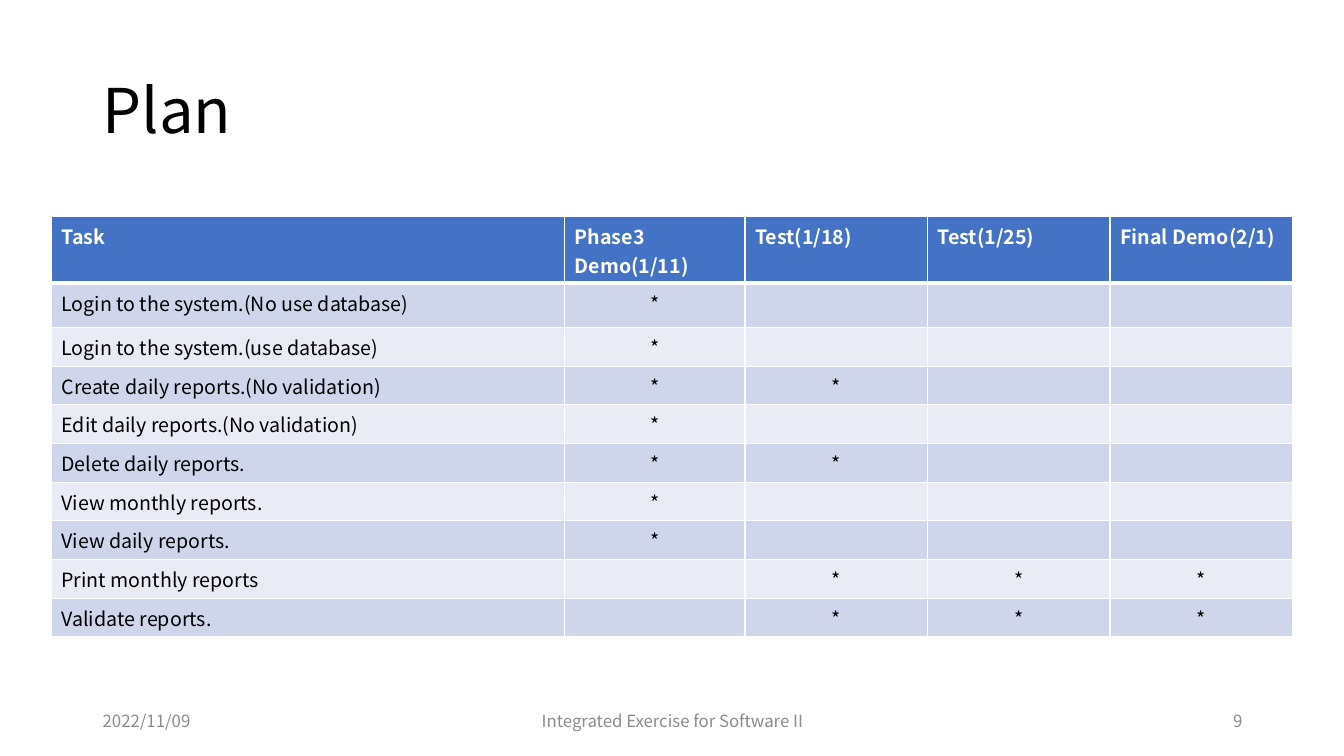
from lxml.etree import SubElement
from pptx import Presentation
from pptx.dml.color import RGBColor as RGB
from pptx.enum.text import MSO_ANCHOR as Anchor, PP_ALIGN as Align
from pptx.oxml.ns import qn
from pptx.util import Inches, Pt

FONT = "Noto Sans CJK JP"
COLORS = {"ink": "000000", "paper": "FFFFFF", "muted": "8C8C8C",
          "head": "4472C4", "odd": "CFD5EA", "even": "E9EBF5"}
HEADS = ["Task", "Phase3 Demo(1/11)", "Test(1/18)", "Test(1/25)", "Final Demo(2/1)"]
TASKS = [
    ("Login to the system.(No use database)", [1]),
    ("Login to the system.(use database)", [1]),
    ("Create daily reports.(No validation)", [1, 2]),
    ("Edit daily reports.(No validation)", [1]),
    ("Delete daily reports.", [1, 2]),
    ("View monthly reports.", [1]),
    ("View daily reports.", [1]),
    ("Print monthly reports", [2, 3, 4]),
    ("Validate reports.", [2, 3, 4]),
]
WIDTHS = [5.09, 1.79, 1.81, 1.81, 1.81]
TOPS = [0.66, 0.44]
REST = 3.07 / (len(TASKS) - 1)
HEIGHTS = TOPS + [REST] * (len(TASKS) - 1)


def style(para, size, color, bold=False, align=Align.LEFT):
    """Set the alignment of a paragraph and the font of its runs."""
    para.alignment = align
    for run in para.runs:
        font = run.font
        font.name, font.size, font.bold = FONT, Pt(size), bold
        font.color.rgb = RGB.from_string(COLORS[color])


def add_text(slide, box, text, size, color, align=Align.LEFT):
    """Add one line of text, centred vertically in its box."""
    frame = slide.shapes.add_textbox(*map(Inches, box)).text_frame
    frame.word_wrap = True
    frame.vertical_anchor = Anchor.MIDDLE
    frame.text = text
    para = frame.paragraphs[0]
    style(para, size, color, align=align)
    return para


def add_edges(cell, top, bottom):
    """Draw the white borders of a cell, with widths in points."""
    props = cell._tc.get_or_add_tcPr()
    for tag, width in (("lnL", 1), ("lnR", 1), ("lnT", top), ("lnB", bottom)):
        line = SubElement(props, qn(f"a:{tag}"), w=str(Pt(width)))
        fill = SubElement(line, qn("a:solidFill"))
        SubElement(fill, qn("a:srgbClr"), val=COLORS["paper"])


def fill_cell(cell, text, row, col):
    """Write and colour one cell of the plan."""
    add_edges(cell, 3 if row == 1 else 1, 3 if row == 0 else 1)
    cell.fill.solid()
    shade = "head" if row == 0 else "odd" if row % 2 else "even"
    cell.fill.fore_color.rgb = RGB.from_string(COLORS[shade])
    cell.text_frame.text = text
    para = cell.text_frame.paragraphs[0]
    align = Align.CENTER if row and col else Align.LEFT
    style(para, 14, "ink" if row else "paper", row == 0, align)
    if not text:
        SubElement(para._p, qn("a:endParaRPr"), sz="1400")


def add_plan(slide, box):
    """Add the table of tasks against dates."""
    rows = [HEADS]
    for task, dates in TASKS:
        rows.append([task] + ["*" if col in dates else "" for col in range(1, len(HEADS))])
    table = slide.shapes.add_table(len(rows), len(HEADS), *map(Inches, box)).table
    for column, width in zip(table.columns, WIDTHS):
        column.width = Inches(width)
    for line, height in zip(table.rows, HEIGHTS):
        line.height = Inches(height)
    for row, texts in enumerate(rows):
        for col, text in enumerate(texts):
            fill_cell(table.cell(row, col), text, row, col)


def add_footer(slide, box):
    """Add the date, course name and page number along the foot."""
    left, top, width, height = box
    side, mid = 3, 4.5
    parts = [
        (left, side, "2022/11/09", Align.LEFT),
        (left + (width - mid) / 2, mid, "Integrated Exercise for Software II", Align.CENTER),
        (left + width - side, side, "9", Align.RIGHT),
    ]
    for start, span, text, align in parts:
        add_text(slide, (start, top, span, height), text, 12, "muted", align)


def main():
    """Build the plan slide and save it."""
    deck = Presentation()
    deck.slide_width, deck.slide_height = Inches(13.33), Inches(7.5)
    slide = deck.slides.add_slide(deck.slide_layouts[6])
    title = add_text(slide, (0.92, 0.4, 11.5, 1.45), "Plan", 44, "ink")
    title.line_spacing = 0.9
    add_plan(slide, (0.51, 2.15, sum(WIDTHS), sum(HEIGHTS)))
    add_footer(slide, (0.92, 6.95, 11.5, 0.4))
    deck.save("out.pptx")


if __name__ == "__main__":
    main()
